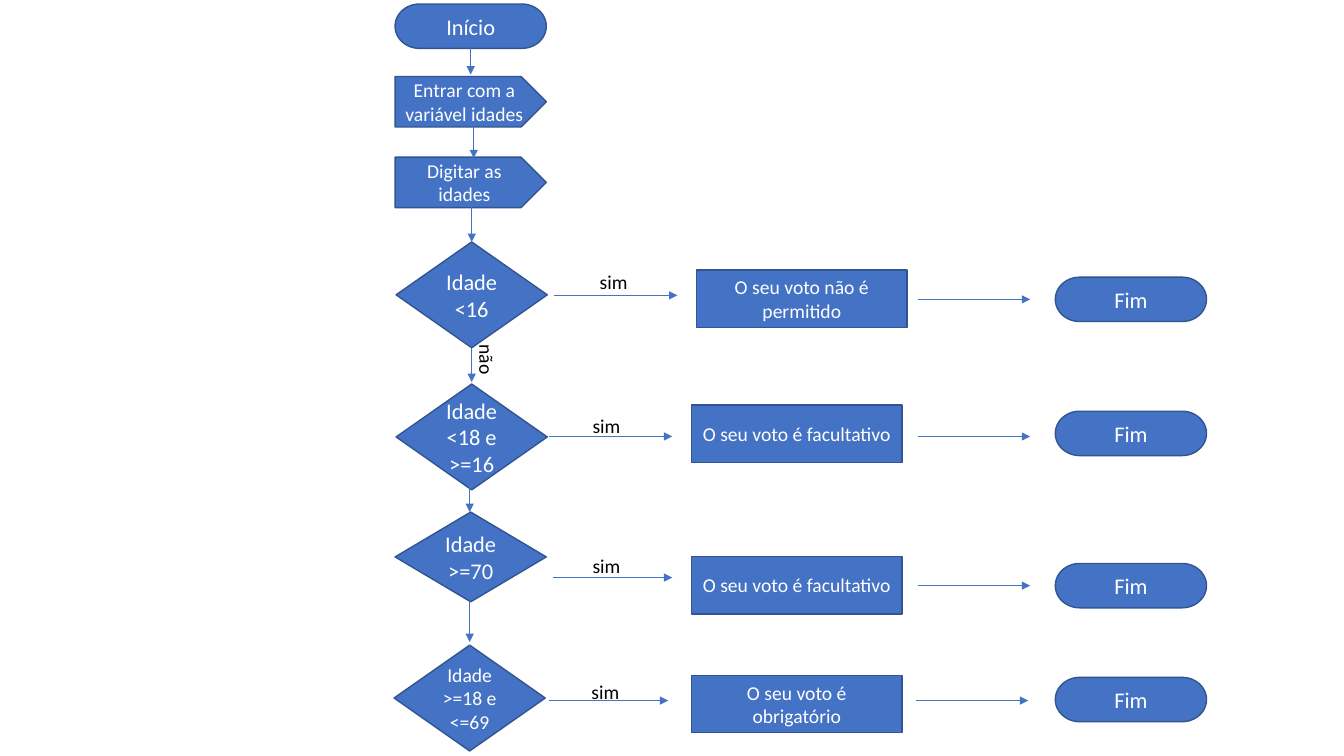
import dataclasses

import pptx
import pptx.dml.color
import pptx.enum.shapes
import pptx.enum.text
import pptx.oxml.ns
import pptx.util
from lxml import etree

Pt = pptx.util.Pt
Kind = pptx.enum.shapes.MSO_SHAPE
Align = pptx.enum.text.PP_ALIGN
Anchor = pptx.enum.text.MSO_ANCHOR
qn = pptx.oxml.ns.qn

BLUE, EDGE, WHITE, BLACK = "4472C4", "325491", "FFFFFF", "000000"
FONT = "Calibri"
STEP_W = 108
END_X, END_H = 753.84, 31.68
ACT_W, ACT_H = 150.48, 41.04
OUT_LEN = 79.92


@dataclasses.dataclass
class Node:
    kind: Kind
    text: str
    left: float
    top: float
    width: float
    height: float
    size: int = 14


@dataclasses.dataclass
class Arrow:
    x1: float
    y1: float
    x2: float
    y2: float


@dataclasses.dataclass
class Label:
    text: str
    left: float
    top: float
    width: float = 35.28
    turn: int = 0


@dataclasses.dataclass
class Branch:
    test: Node
    yes: Arrow
    label: Label
    act: Node
    out_x: float
    out_y: float
    end_top: float


def color(code: str) -> pptx.dml.color.RGBColor:
    return pptx.dml.color.RGBColor.from_string(code)


def style(frame, text: str, size: int, code: str) -> None:
    frame.word_wrap = True
    frame.text = text
    font = frame.paragraphs[0].runs[0].font
    font.name, font.size = FONT, Pt(size)
    font.color.rgb = color(code)


def draw_node(shapes, node: Node) -> None:
    shape = shapes.add_shape(node.kind, Pt(node.left), Pt(node.top),
                             Pt(node.width), Pt(node.height))
    shape.shadow.inherit = False
    shape.fill.solid()
    shape.fill.fore_color.rgb = color(BLUE)
    shape.line.color.rgb = color(EDGE)
    shape.line.width = Pt(1)
    style(shape.text_frame, node.text, node.size, WHITE)
    shape.text_frame.vertical_anchor = Anchor.MIDDLE
    shape.text_frame.paragraphs[0].alignment = Align.CENTER


def draw_arrow(shapes, arrow: Arrow) -> None:
    line = shapes.add_connector(
        pptx.enum.shapes.MSO_CONNECTOR.STRAIGHT,
        Pt(arrow.x1), Pt(arrow.y1), Pt(arrow.x2), Pt(arrow.y2))
    line.line.color.rgb = color(BLUE)
    line.line.width = Pt(0.5)
    props = line.line._get_or_add_ln()
    etree.SubElement(props, qn("a:tailEnd"), type="triangle")
    etree.SubElement(line._element.spPr, qn("a:effectLst"))


def draw_label(shapes, label: Label) -> None:
    box = shapes.add_textbox(Pt(label.left), Pt(label.top),
                             Pt(label.width), Pt(24.48))
    box.rotation = label.turn
    style(box.text_frame, label.text, 14, BLACK)


def test(text: str, left: float, top: float,
         height: float = 75.6, size: int = 16) -> Node:
    return Node(Kind.FLOWCHART_DECISION, text, left, top, STEP_W, height, size)


def act(text: str, top: float, left: float = 493.92) -> Node:
    return Node(Kind.FLOWCHART_PROCESS, text, left, top, ACT_W, ACT_H)


def across(x1: float, x2: float, y: float) -> Arrow:
    return Arrow(x1, y, x2, y)


def down(x: float, y1: float, y2: float) -> Arrow:
    return Arrow(x, y1, x, y2)


# Opening steps
STEPS = [
    Node(Kind.FLOWCHART_TERMINATOR, "Início", 282.24, 2.88, STEP_W, END_H, 16),
    Node(Kind.PENTAGON, "Entrar com a variável idades", 282.24, 54.72, STEP_W, 36),
    Node(Kind.PENTAGON, "Digitar as idades", 282.24, 112.32, STEP_W, 36),
]

# Age tests, each with its answer and end
BRANCHES = [
    Branch(test("Idade <16", 282.96, 172.8), across(396, 483.84, 210.96),
           Label("sim", 421.2, 189.36),
           act("O seu voto não é permitido", 192.96, 497.52),
           655.92, 213.84, 198),
    Branch(test("Idade <18 e >=16", 282.96, 274.32), across(392.4, 480.24, 311.76),
           Label("sim", 416.16, 292.32),
           act("O seu voto é facultativo", 289.44),
           655.92, 311.76, 293.76),
    Branch(test("Idade >=70", 282.24, 365.76, 64.08), across(395.28, 480.24, 412.56),
           Label("sim", 416.16, 392.4),
           act("O seu voto é facultativo", 397.44),
           655.92, 418.32, 402.48),
    Branch(test("Idade >=18 e <=69", 281.52, 460.8, size=14),
           across(392.4, 477.36, 500.4),
           Label("sim", 415.44, 482.4, 41.04),
           act("O seu voto é obrigatório", 482.4),
           654.48, 500.4, 483.84),
]

# Arrows down the main path
PATH = [
    down(336.24, 34.56, 53.28),
    down(338.4, 86.4, 113.04),
    down(336.96, 146.16, 172.8),
    down(336.96, 248.4, 272.88),
    down(335.52, 336.96, 365.76),
    Arrow(335.52, 460.8, 334.8, 470.88),
    down(335.52, 429.84, 458.64),
]

deck = pptx.Presentation()
deck.slide_width, deck.slide_height = Pt(960), Pt(540)
slide = deck.slides.add_slide(deck.slide_layouts[6])
shapes = slide.shapes

for step in STEPS:
    draw_node(shapes, step)
for row in BRANCHES:
    draw_node(shapes, row.test)
    draw_arrow(shapes, row.yes)
    draw_label(shapes, row.label)
    draw_node(shapes, row.act)
    draw_arrow(shapes, across(row.out_x, row.out_x + OUT_LEN, row.out_y))
    draw_node(shapes, Node(Kind.FLOWCHART_TERMINATOR, "Fim", END_X,
                           row.end_top, STEP_W, END_H, 16))
for arrow in PATH:
    draw_arrow(shapes, arrow)
draw_label(shapes, Label("não", 326.88, 247.68, 41.76, 90))

deck.save("out.pptx")
